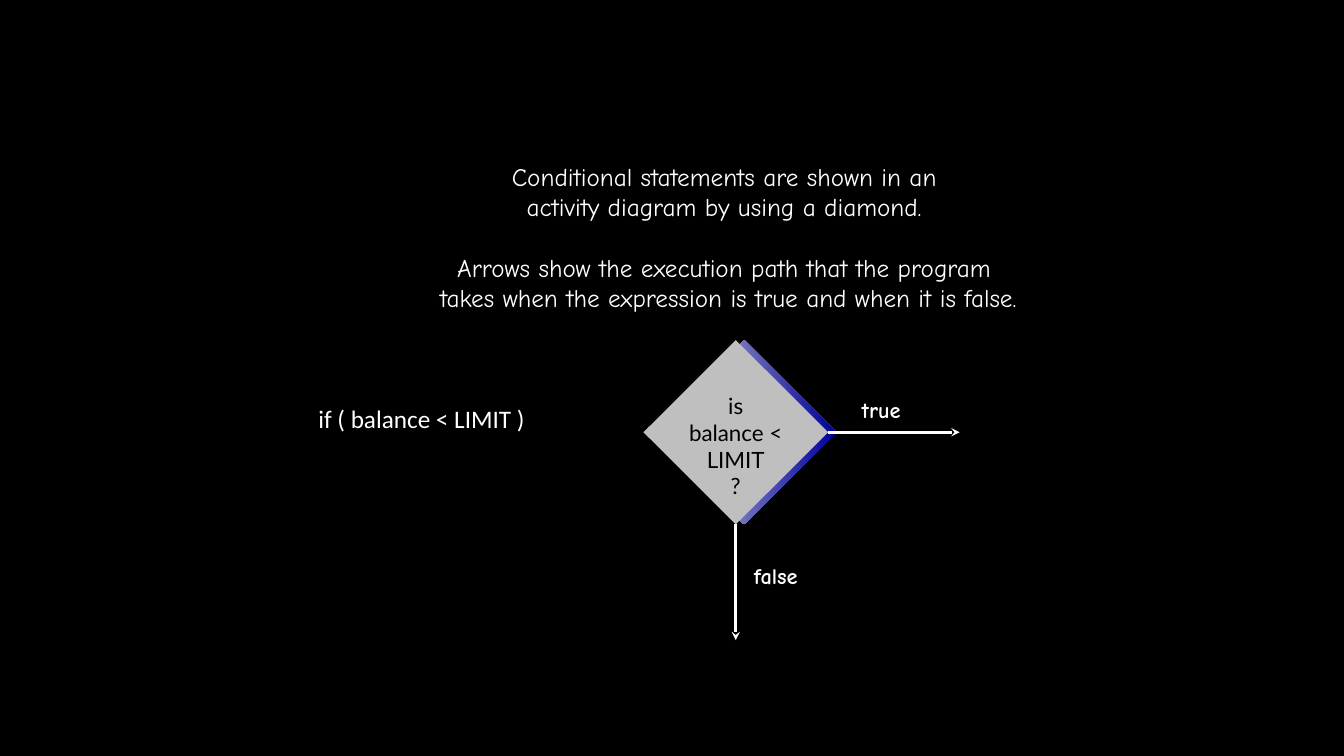
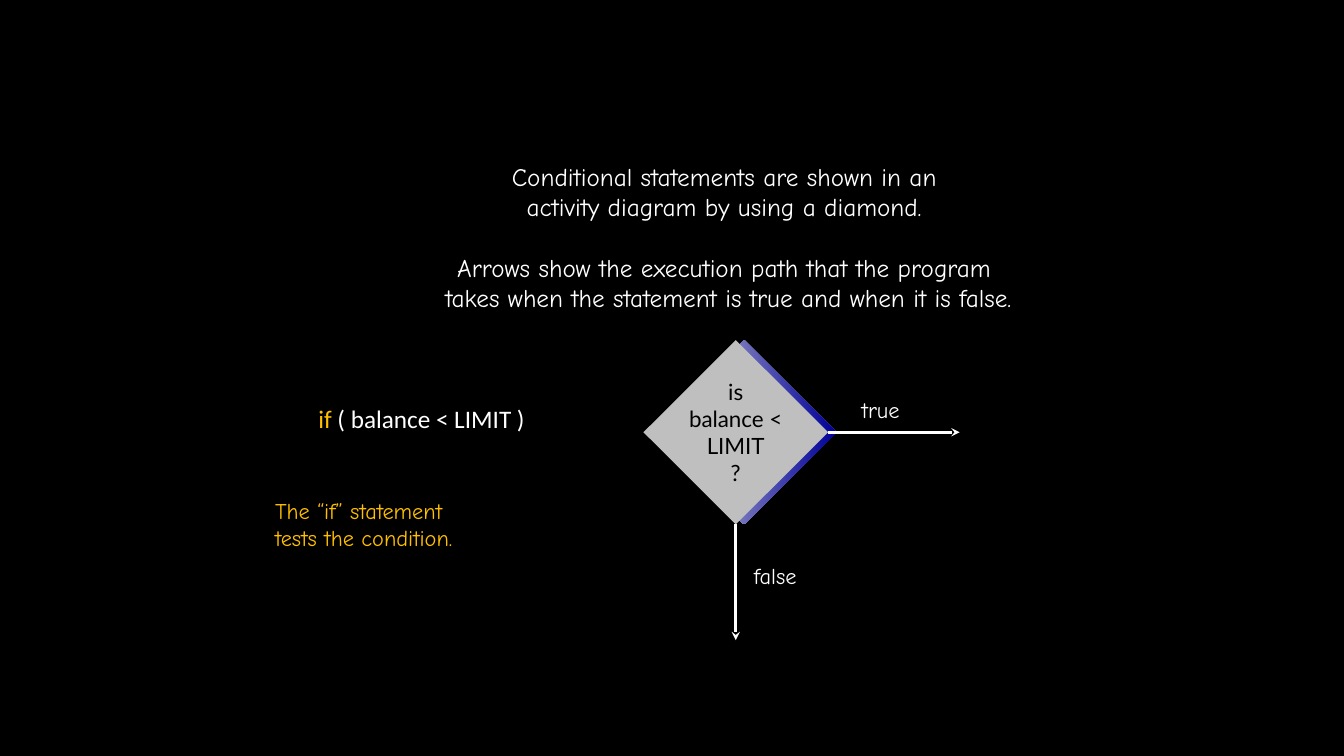
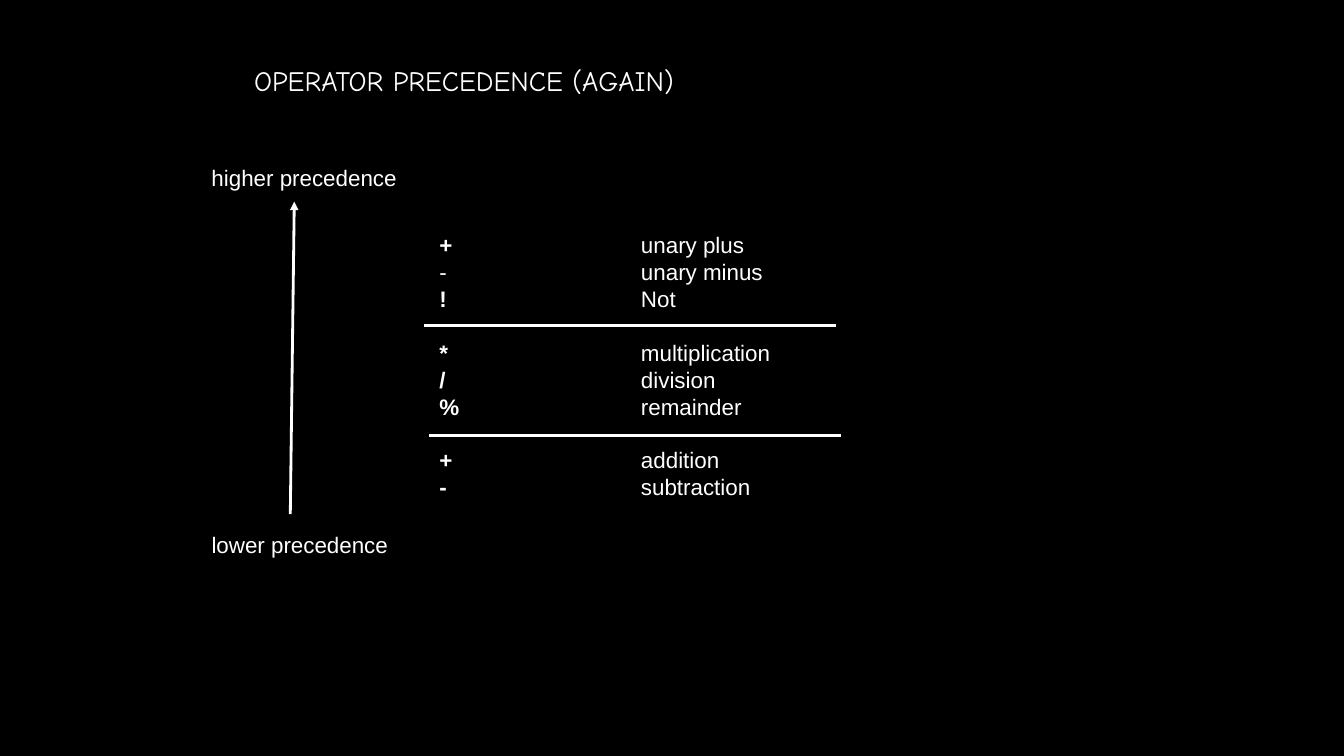
from lxml.etree import SubElement
from pptx import Presentation
from pptx.dml.color import RGBColor
from pptx.enum.shapes import MSO_CONNECTOR, MSO_SHAPE
from pptx.enum.text import MSO_ANCHOR, MSO_AUTO_SIZE, PP_ALIGN
from pptx.oxml.ns import qn
from pptx.util import Inches, Pt

# Shared style
COLORS = {name: RGBColor.from_string(value) for name, value in {
    "back": "000000", "text": "FFFFFF", "accent": "FFC000", "diamond": "BFBFBF",
    "ink": "000000", "shade_start": "DDDDDD", "shade_end": "000099"}.items()}
HAND, CODE, SHAPE, PLAIN = "Comic Neue", "Calibri", "Lato", "Arial"
LEADING = 1.2

prs = Presentation()
prs.slide_width, prs.slide_height = Inches(13.33), Inches(7.5)
fill = prs.slide_master.background.fill
fill.solid()
fill.fore_color.rgb = COLORS["back"]

# Grid of 100 columns by 100 rows
COL, ROW = prs.slide_width / 100, prs.slide_height / 100


def add_text(s, area, paras, font, size=16, align=PP_ALIGN.LEFT, gaps=(), sp=None):
    """Write paragraphs of (text, colour, bold) runs; gaps lists those after an empty line."""
    x, y, w, h = area
    if sp is None:
        sp = s.shapes.add_textbox(0, 0, 0, 0)
        sp.text_frame.word_wrap = False
        sp.text_frame.auto_size = MSO_AUTO_SIZE.SHAPE_TO_FIT_TEXT
    sp.left, sp.top = int(x * COL), int(y * ROW)
    sp.width, sp.height = int(w * COL), int(h * ROW)
    tf = sp.text_frame
    for i, runs in enumerate(paras):
        p = tf.add_paragraph() if i else tf.paragraphs[0]
        p.alignment = align
        p.line_spacing = Pt(size * LEADING)
        if i in gaps:
            p.space_before = Pt(size * LEADING)
        for text, color, bold in runs:
            r = p.add_run()
            r.text = text
            r.font.name, r.font.size, r.font.bold = font, Pt(size), bold
            r.font.color.rgb = COLORS[color]
    return sp


def add_line(s, x1, y1, x2, y2, head=None):
    """Draw a white line, with an arrowhead at its end if one is named."""
    line = s.shapes.add_connector(MSO_CONNECTOR.STRAIGHT, int(x1 * COL), int(y1 * ROW),
                                  int(x2 * COL), int(y2 * ROW))
    line.line.color.rgb = COLORS["text"]
    line.line.width = Pt(2)
    if head:
        SubElement(line.line._get_or_add_ln(), qn("a:tailEnd"), type=head)
    SubElement(line._element.spPr, qn("a:effectLst"))
    return line


# Slides 1 and 2: the condition as a diamond
DX, DY, DW, DH = 47.88, 44.98, 13.73, 24.4
MID_X, MID_Y = DX + DW / 2, DY + DH / 2
CONDITION = " ( balance < LIMIT )"
# word for the condition, colour of "if", bold labels, empty lines above the question, note
variants = [
    ("expression", "text", True, 1, []),
    ("statement", "accent", False, 0, ["The “if” statement", "tests the condition."]),
]
for word, if_color, bold, blank_lines, note in variants:
    s = prs.slides.add_slide(prs.slide_layouts[6])

    # Explanation and code
    intro = ["Conditional statements are shown in an",
             "activity diagram by using a diamond.",
             "Arrows show the execution path that the program",
             f" takes when the {word} is true and when it is false."]
    add_text(s, (28.88, 20.67, 50, 21.6), [[(t, "text", False)] for t in intro],
             HAND, 18, PP_ALIGN.CENTER, gaps=(2,))
    add_text(s, (22.95, 52.67, 17.1, 5.33),
             [[("if", if_color, False), (CONDITION, "text", False)]], CODE, 18)

    # Diamond in front of its gradient shade
    shade, diamond = [
        s.shapes.add_shape(MSO_SHAPE.DIAMOND, int(x * COL), int(DY * ROW),
                           int(DW * COL), int(DH * ROW))
        for x in (DX + 0.62, DX)]
    for sp in (shade, diamond):
        sp.shadow.inherit = False
        sp.line.fill.background()
    shade.fill.gradient()
    shade.fill.gradient_angle = 0
    for stop, name in zip(shade.fill.gradient_stops, ("shade_start", "shade_end")):
        stop.color.rgb = COLORS[name]
    diamond.fill.solid()
    diamond.fill.fore_color.rgb = COLORS["diamond"]
    tf = diamond.text_frame
    tf.word_wrap = False
    tf.vertical_anchor = MSO_ANCHOR.MIDDLE
    tf.margin_top = Inches(0.05) + blank_lines * Pt(16 * LEADING)
    question = ["is", "balance <", "LIMIT", "?"]
    add_text(s, (DX, DY, DW, DH), [[(t, "ink", False)] for t in question],
             SHAPE, align=PP_ALIGN.CENTER, sp=diamond)

    # Branches: label, its area, arrow end, side of the diamond
    for label, area, end, side in [
            ("true", (63.38, 51.73, 4.88, 4.93), (71.4, MID_Y), 3),
            ("false", (55.35, 73.67, 5.5, 4.93), (MID_X, 84.67), 2)]:
        arrow = add_line(s, MID_X, MID_Y, *end, head="stealth")
        arrow.begin_connect(diamond, side)
        add_text(s, area, [[(label, "text", bold)]], HAND)

    if note:
        add_text(s, (19.73, 65.07, 16.88, 8.53), [[(t, "accent", False)] for t in note], HAND)

# Slide 3: operator precedence
s = prs.slides.add_slide(prs.slide_layouts[5])
title = s.shapes.title
title.text_frame.vertical_anchor = MSO_ANCHOR.MIDDLE
title.text_frame.auto_size = MSO_AUTO_SIZE.NONE
add_text(s, (18.15, 5.6, 39.6, 10.13), [[("OPERATOR PRECEDENCE (AGAIN)", "text", False)]],
         HAND, 20, sp=title)

# Operators in groups of equal precedence, meanings at a tab stop
operators = [("+", "unary plus", True), ("-", "unary minus", False), ("!", "Not", True),
             ("*", "multiplication", True), ("/", "division", True), ("%", "remainder", True),
             ("+", "addition", True), ("-", "subtraction", True)]
rows = [[(sign, "text", bold), (f"\t{meaning}", "text", False)]
        for sign, meaning, bold in operators]
sp = add_text(s, (31.95, 26.4, 26.4, 48), rows, PLAIN, gaps=(3, 6))
sp.text_frame.margin_top = Inches(0.05) + Pt(16 * LEADING)
for p in sp.text_frame.paragraphs:
    tabs = SubElement(p._p.get_or_add_pPr(), qn("a:tabLst"))
    SubElement(tabs, qn("a:tab"), pos=str(Inches(2)), algn="l")
for x, y in [(31.58, 43.07), (31.95, 57.6)]:
    add_line(s, x, y, x + 30.6, y)

# Scale from lower to higher
add_line(s, 21.6, 68, 21.9, 26.67, head="triangle")
for label, y, w in [("higher precedence", 21.07, 15.3), ("lower precedence", 69.6, 14.63)]:
    add_text(s, (15, y, w, 4.93), [[(label, "text", False)]], PLAIN)

prs.save("out.pptx")
